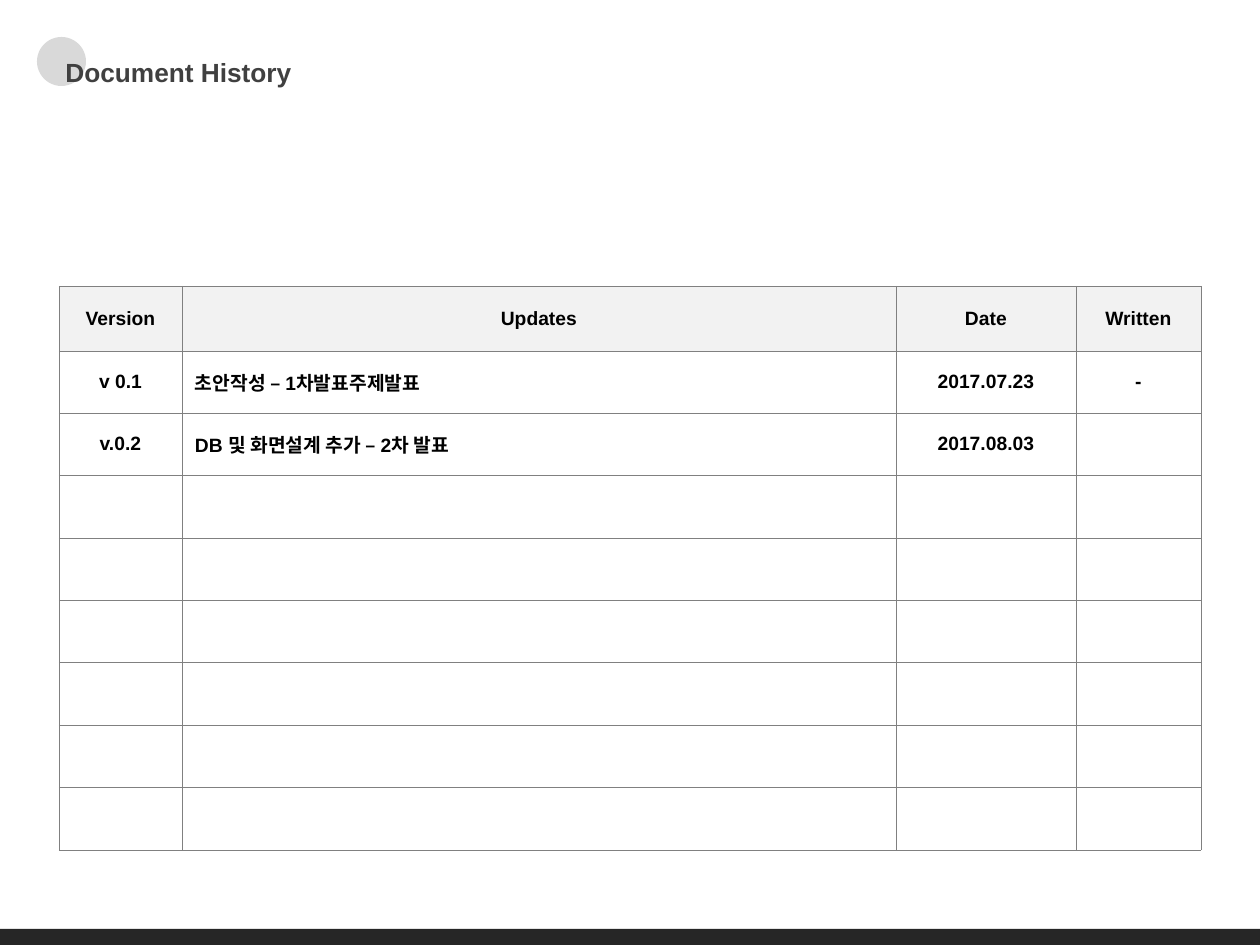
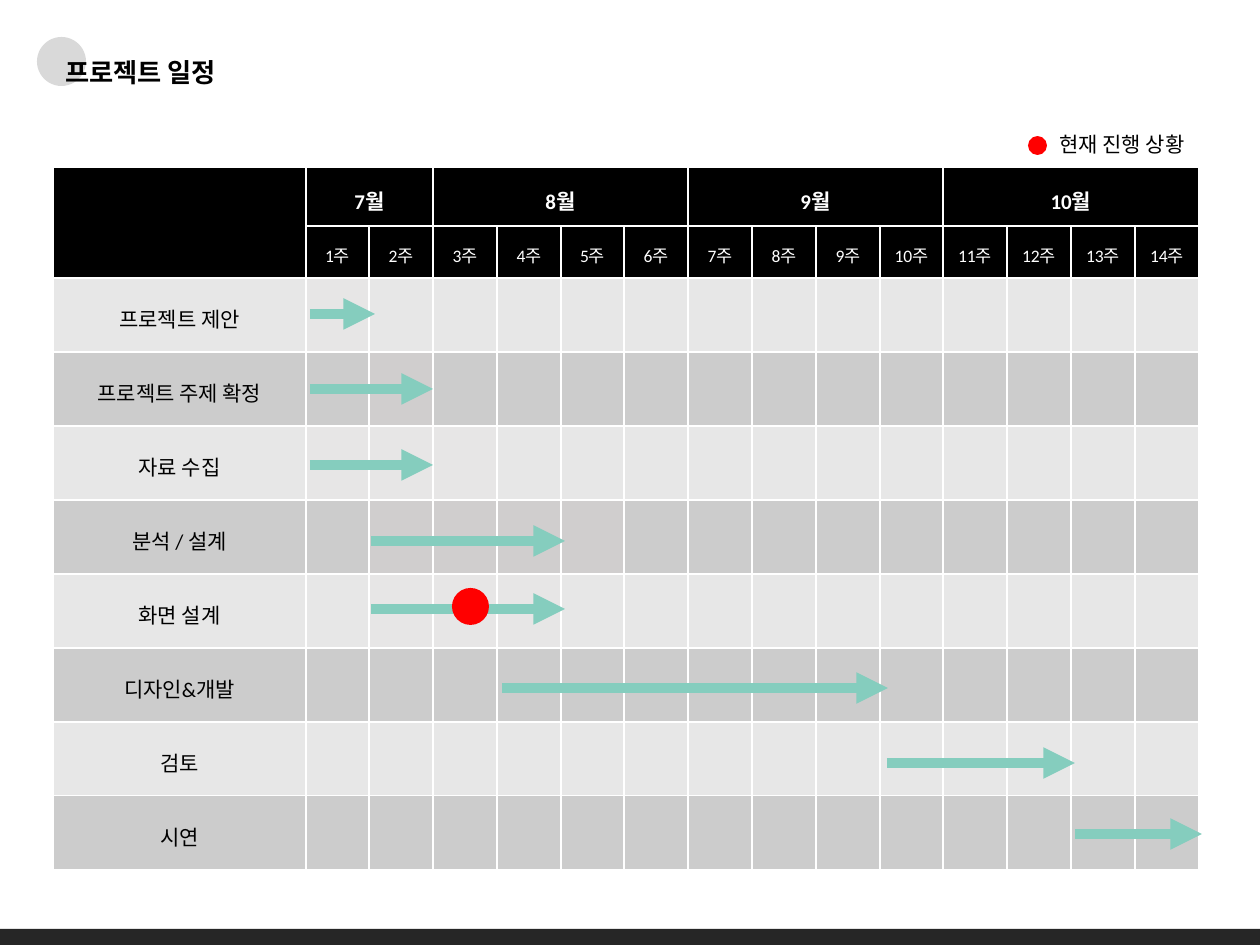
from dataclasses import dataclass

from lxml import etree
from pptx import Presentation
from pptx.dml.color import RGBColor
from pptx.enum.shapes import MSO_CONNECTOR, MSO_SHAPE
from pptx.enum.text import MSO_ANCHOR, PP_ALIGN
from pptx.oxml.ns import qn
from pptx.util import Emu, Pt

# Enum members
OVAL, RECTANGLE = MSO_SHAPE.OVAL, MSO_SHAPE.RECTANGLE
STRAIGHT = MSO_CONNECTOR.STRAIGHT
LEFT, CENTER = PP_ALIGN.LEFT, PP_ALIGN.CENTER
TOP, MIDDLE, BOTTOM = MSO_ANCHOR.TOP, MSO_ANCHOR.MIDDLE, MSO_ANCHOR.BOTTOM

# Colours and fonts
BLACK = RGBColor(0x00, 0x00, 0x00)
WHITE = RGBColor(0xFF, 0xFF, 0xFF)
TITLE_GRAY = RGBColor(0x40, 0x40, 0x40)
CIRCLE_GRAY = RGBColor(0xD9, 0xD9, 0xD9)
BAND_GRAY = RGBColor(0x26, 0x26, 0x26)
BORDER_GRAY = RGBColor(0x80, 0x80, 0x80)
HEADER_GRAY = RGBColor(0xF2, 0xF2, 0xF2)
LIGHT_ROW = RGBColor(0xE7, 0xE7, 0xE7)
LIGHT_TINT = RGBColor(0xE7, 0xE6, 0xE6)
DARK_ROW = RGBColor(0xCC, 0xCC, 0xCC)
DARK_TINT = RGBColor(0xD0, 0xCE, 0xCE)
ARROW_GREEN = RGBColor(0x85, 0xCD, 0xBE)
STATUS_RED = RGBColor(0xFF, 0x00, 0x00)
HEADING_FONT, BODY_FONT = "Arial", "Calibri"

# Geometry in px
PX_PER_INCH = 126
SLIDE_WIDTH, SLIDE_HEIGHT = 1260, 945
BAND_TOP = 929


@dataclass(frozen=True)
class Cell:
    text: str = ""
    fill: RGBColor = WHITE
    color: RGBColor = BLACK
    size: int = 12
    bold: bool = False
    font: str = BODY_FONT
    align: PP_ALIGN = CENTER
    line_spacing: float = 1.25
    side_margin: int = 0


@dataclass(frozen=True)
class Merge:
    row: int
    column: int
    height: int
    width: int


@dataclass(frozen=True)
class Task:
    name: str
    start: int
    end: int
    y: int
    tinted_weeks: range = range(0)


HISTORY = [
    ("Version", "Updates", "Date", "Written"),
    ("v 0.1", "초안작성 – 1차발표주제발표", "2017.07.23", "-"),
    ("v.0.2", "DB 및 화면설계 추가 – 2차 발표", "2017.08.03", ""),
]
HISTORY_BODY_ROWS = 8
HISTORY_COLUMNS = [123, 714, 180, 125]

MONTHS = [("7월", 2), ("8월", 4), ("9월", 4), ("10월", 4)]
WEEKS = range(1, 15)
TASKS = [
    Task("프로젝트 제안", 310, 375, 314, range(1, 2)),
    Task("프로젝트 주제 확정", 310, 433, 389, range(2, 3)),
    Task("자료 수집", 310, 433, 465, range(1, 4)),
    Task("분석 / 설계", 371, 565, 541, range(2, 6)),
    Task("화면 설계", 371, 565, 609, range(2, 5)),
    Task("디자인&개발", 502, 888, 688),
    Task("검토", 887, 1075, 763),
    Task("시연", 1075, 1202, 834),
]


def px(length: int) -> Emu:
    return Emu(round(length * 914400 / PX_PER_INCH))


def split_evenly(total: int, count: int) -> list[int]:
    """Divide a length into whole pixels that add up to the total."""
    edges = [total * index // count for index in range(count + 1)]
    return [end - start for start, end in zip(edges, edges[1:])]


# Text and shapes
def write_text(text_frame, text: str, *, size: int, color: RGBColor,
               font: str = BODY_FONT, bold: bool = False,
               align: PP_ALIGN = LEFT, line_spacing: float = 1.0) -> None:
    text_frame.word_wrap = True
    paragraph = text_frame.paragraphs[0]
    paragraph.alignment = align
    paragraph.line_spacing = line_spacing
    run = paragraph.add_run()
    run.text = text
    run.font.name = font
    run.font.size = Pt(size)
    run.font.bold = bold
    run.font.color.rgb = color


def add_text_box(slide, left: int, top: int, width: int, height: int, text: str,
                 anchor: MSO_ANCHOR = TOP, **text_format) -> None:
    text_frame = slide.shapes.add_textbox(
        px(left), px(top), px(width), px(height)).text_frame
    text_frame.vertical_anchor = anchor
    write_text(text_frame, text, **text_format)


def add_filled_shape(slide, kind: MSO_SHAPE, left: int, top: int,
                     width: int, height: int, color: RGBColor) -> None:
    shape = slide.shapes.add_shape(kind, px(left), px(top), px(width), px(height))
    shape.shadow.inherit = False
    shape.fill.solid()
    shape.fill.fore_color.rgb = color
    shape.line.fill.background()


def add_arrow(slide, start: int, end: int, y: int) -> None:
    connector = slide.shapes.add_connector(STRAIGHT, px(start), px(y), px(end), px(y))
    connector.line.color.rgb = ARROW_GREEN
    connector.line.width = Pt(6)
    properties = connector.element.spPr
    etree.SubElement(properties.find(qn("a:ln")), qn("a:tailEnd"), type="triangle")
    etree.SubElement(properties, qn("a:effectLst"))


# Tables
def set_borders(cell, color: RGBColor, width: float) -> None:
    properties = cell._tc.get_or_add_tcPr()
    for index, side in enumerate(("a:lnL", "a:lnR", "a:lnT", "a:lnB")):
        border = etree.Element(qn(side), w=str(Pt(width)))
        fill = etree.SubElement(border, qn("a:solidFill"))
        etree.SubElement(fill, qn("a:srgbClr"), val=str(color))
        properties.insert(index, border)


def add_grid(slide, left: int, top: int, columns: list[int], rows: list[int],
             cells: list[list[Cell]], border_color: RGBColor, border_width: float,
             merges: list[Merge] | None = None) -> None:
    table = slide.shapes.add_table(
        len(rows), len(columns), px(left), px(top),
        px(sum(columns)), px(sum(rows))).table
    table.first_row = table.horz_banding = False
    for column, width in zip(table.columns, columns):
        column.width = px(width)
    for row, height in zip(table.rows, rows):
        row.height = px(height)
    for row, contents in zip(table.rows, cells):
        for cell, content in zip(row.cells, contents):
            cell.fill.solid()
            cell.fill.fore_color.rgb = content.fill
            cell.vertical_anchor = MIDDLE
            cell.margin_left = cell.margin_right = px(content.side_margin)
            set_borders(cell, border_color, border_width)
            if content.text:
                write_text(cell.text_frame, content.text, size=content.size,
                           color=content.color, font=content.font,
                           bold=content.bold, align=content.align,
                           line_spacing=content.line_spacing)
    for merge in merges or []:
        last = table.cell(merge.row + merge.height - 1, merge.column + merge.width - 1)
        table.cell(merge.row, merge.column).merge(last)


# Shared slide frame
def add_framed_slide(presentation, title: str, title_width: int, title_color: RGBColor):
    slide = presentation.slides.add_slide(presentation.slide_layouts[6])
    add_filled_shape(slide, OVAL, 37, 37, 49, 49, CIRCLE_GRAY)
    add_filled_shape(slide, RECTANGLE, 0, BAND_TOP, SLIDE_WIDTH,
                     SLIDE_HEIGHT - BAND_TOP, BAND_GRAY)
    add_text_box(slide, 53, 49, title_width, 45, title, BOTTOM, size=15,
                 color=title_color, font=HEADING_FONT, bold=True, line_spacing=0.9)
    return slide


# Slide 1: document history
def history_cell(text: str, row: int, column: int) -> Cell:
    return Cell(text, fill=HEADER_GRAY if row == 0 else WHITE, size=11, bold=True,
                font=HEADING_FONT, align=LEFT if row and column == 1 else CENTER,
                line_spacing=1.0, side_margin=13)


def build_history(presentation) -> None:
    slide = add_framed_slide(presentation, "Document History", 260, TITLE_GRAY)
    empty_rows = HISTORY_BODY_ROWS + 1 - len(HISTORY)
    texts = HISTORY + [("",) * len(HISTORY_COLUMNS)] * empty_rows
    cells = [[history_cell(text, row, column) for column, text in enumerate(line)]
             for row, line in enumerate(texts)]
    add_grid(slide, 59, 286, HISTORY_COLUMNS,
             [65] + split_evenly(499, HISTORY_BODY_ROWS), cells, BORDER_GRAY, 0.25)


# Slide 2: project schedule
def task_row(task: Task, index: int) -> list[Cell]:
    plain, tint = (DARK_ROW, DARK_TINT) if index % 2 else (LIGHT_ROW, LIGHT_TINT)
    return [Cell(task.name, fill=plain)] + [
        Cell(fill=tint if week in task.tinted_weeks else plain) for week in WEEKS]


def build_schedule(presentation) -> None:
    slide = add_framed_slide(presentation, "프로젝트 일정", 425, BLACK)

    corner = Cell(fill=BLACK)
    month_row = [corner]
    merges = [Merge(0, 0, 2, 1)]
    for month, week_count in MONTHS:
        merges.append(Merge(0, len(month_row), 1, week_count))
        month_row.append(Cell(month, fill=BLACK, color=WHITE, bold=True))
        month_row += [corner] * (week_count - 1)
    week_row = [corner] + [
        Cell(f"{week}주", fill=BLACK, color=WHITE, size=10) for week in WEEKS]
    task_rows = [task_row(task, index) for index, task in enumerate(TASKS)]
    add_grid(slide, 53, 167, [253] + split_evenly(893, len(WEEKS)),
             [59, 52] + [74] * len(TASKS), [month_row, week_row] + task_rows,
             WHITE, 1, merges)

    for task in TASKS:
        add_arrow(slide, task.start, task.end, task.y)

    # Current status marker and legend
    add_filled_shape(slide, OVAL, 452, 588, 37, 37, STATUS_RED)
    add_filled_shape(slide, OVAL, 1028, 136, 19, 19, STATUS_RED)
    add_text_box(slide, 1047, 125, 185, 38, "현재 진행 상황", size=12, color=BLACK)


def main() -> None:
    presentation = Presentation()
    presentation.slide_width = px(SLIDE_WIDTH)
    presentation.slide_height = px(SLIDE_HEIGHT)
    build_history(presentation)
    build_schedule(presentation)
    presentation.save("out.pptx")


if __name__ == "__main__":
    main()
